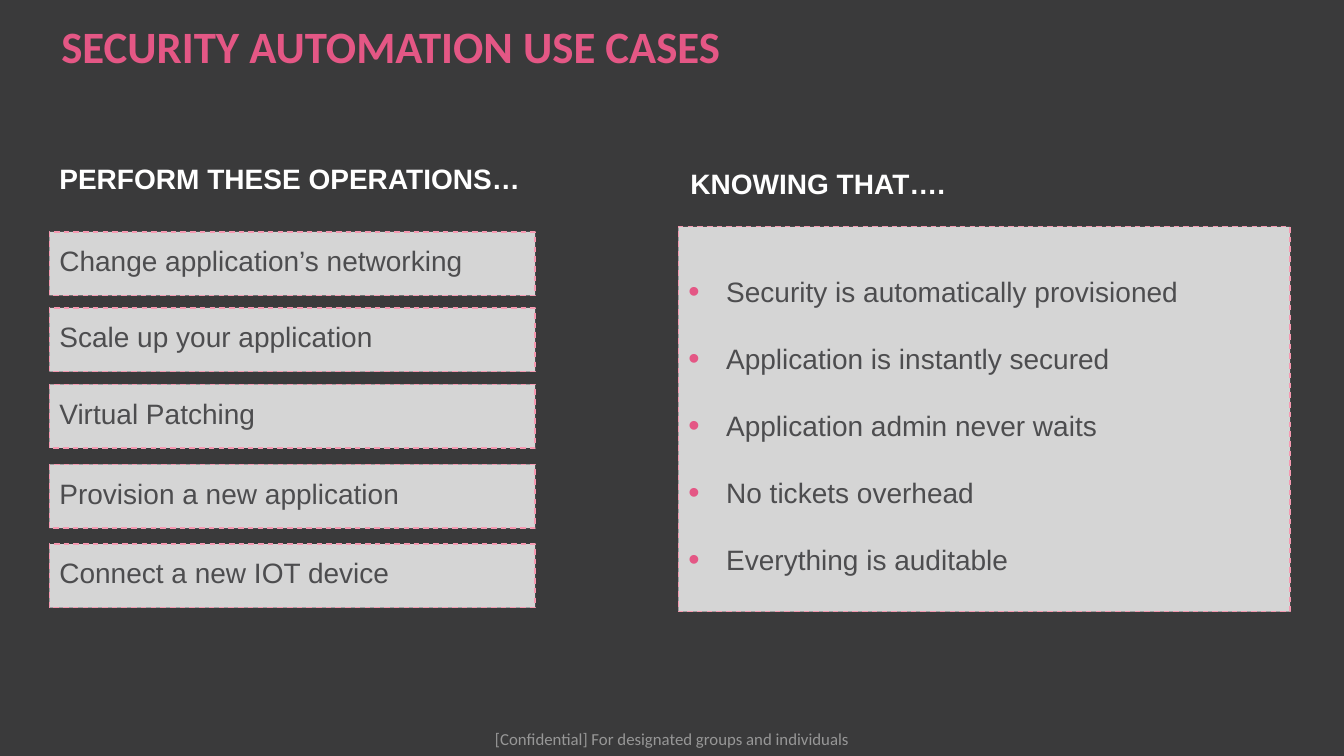
from lxml.etree import SubElement
from pptx import Presentation
from pptx.dml.color import RGBColor
from pptx.enum.dml import MSO_LINE
from pptx.enum.shapes import MSO_SHAPE
from pptx.enum.text import MSO_ANCHOR, PP_ALIGN
from pptx.oxml.ns import qn
from pptx.util import Pt

BACKGROUND = RGBColor(0x3A, 0x3A, 0x3B)
PANEL = RGBColor(0xD5, 0xD5, 0xD5)
BORDER = RGBColor(0xF5, 0x99, 0xB1)
PINK = RGBColor(0xE4, 0x57, 0x85)
BODY = RGBColor(0x4D, 0x4D, 0x4F)
WHITE = RGBColor(0xFF, 0xFF, 0xFF)
GREY = RGBColor(0x97, 0x97, 0x97)

# Top edge and wording of each operation
OPERATIONS = [
    (165.6, "Change application’s networking"),
    (220, "Scale up your application"),
    (274.5, "Virtual Patching"),
    (331.7, "Provision a new application"),
    (388.6, "Connect a new IOT device"),
]
ASSURANCES = [
    "Security is automatically provisioned",
    "Application is instantly secured",
    "Application admin never waits",
    "No tickets overhead",
    "Everything is auditable",
]


class SlideBuilder:
    body_font = {"name": "Arial", "size": Pt(20), "bold": False}
    heading_font = {"name": "Arial", "size": Pt(20), "bold": True}

    def __init__(self, slide):
        self.slide = slide
        slide.background.fill.solid()
        slide.background.fill.fore_color.rgb = BACKGROUND

    def fill_text(self, shape, lines, font, color, spacing=1.0, bullets=False,
                  align=PP_ALIGN.LEFT, anchor=MSO_ANCHOR.TOP):
        frame = shape.text_frame
        frame.word_wrap = True
        frame.vertical_anchor = anchor
        for index, line in enumerate(lines):
            paragraph = frame.add_paragraph() if index else frame.paragraphs[0]
            layout = {"alignment": align, "line_spacing": spacing,
                      "space_before": Pt(12 if index else 0)}
            for key, value in layout.items():
                setattr(paragraph, key, value)
            if bullets:
                self.add_bullet(paragraph)
            run = paragraph.add_run()
            run.text = line
            for key, value in font.items():
                setattr(run.font, key, value)
            run.font.color.rgb = color

    def add_bullet(self, paragraph):
        props = paragraph._p.get_or_add_pPr()
        props.set("marL", str(Pt(27)))
        props.set("indent", str(Pt(-27)))
        color = SubElement(props, qn("a:buClr"))
        SubElement(color, qn("a:srgbClr"), val=str(PINK))
        SubElement(props, qn("a:buSzPct"), val="115000")
        SubElement(props, qn("a:buFont"), typeface="Arial")
        SubElement(props, qn("a:buChar"), char="•")

    def label(self, box, text, font, color, **layout):
        shape = self.slide.shapes.add_textbox(*map(Pt, box))
        self.fill_text(shape, [text], font, color, **layout)

    def panel(self, box, lines, **layout):
        shape = self.slide.shapes.add_shape(MSO_SHAPE.RECTANGLE, *map(Pt, box))
        shape.shadow.inherit = False
        shape.fill.solid()
        shape.fill.fore_color.rgb = PANEL
        shape.line.color.rgb = BORDER
        shape.line.width = Pt(1)
        shape.line.dash_style = MSO_LINE.DASH
        self.fill_text(shape, lines, self.body_font, BODY,
                       anchor=MSO_ANCHOR.MIDDLE, **layout)
        return shape


def main():
    deck = Presentation()
    deck.slide_width, deck.slide_height = Pt(960), Pt(540)
    page = SlideBuilder(deck.slides.add_slide(deck.slide_layouts[6]))

    # Title
    page.label((36.7, 15.8, 885, 72), "SECURITY AUTOMATION USE CASES",
               {"name": "Calibri", "size": Pt(32), "bold": True}, PINK,
               spacing=0.85)

    # Operations on the left
    page.label((35.3, 111.6, 347, 31.5), "PERFORM THESE OPERATIONS…",
               page.heading_font, WHITE)
    for top, operation in OPERATIONS:
        page.panel((35.3, top, 347, 45.5), [operation], spacing=0.8)

    # Assurances on the right
    page.label((486, 115.2, 347, 31.5), "KNOWING THAT….",
               page.heading_font, WHITE)
    assurances = page.panel((484.6, 162, 437, 275), ASSURANCES,
                            spacing=1.5, bullets=True)
    assurances.text_frame.margin_top = Pt(0)

    # Footer
    page.label((330, 516.2, 300, 23.8),
               "[Confidential] For designated groups and individuals",
               {"name": "Calibri", "size": Pt(12)}, GREY,
               align=PP_ALIGN.CENTER, anchor=MSO_ANCHOR.MIDDLE)

    deck.save("out.pptx")


if __name__ == "__main__":
    main()
